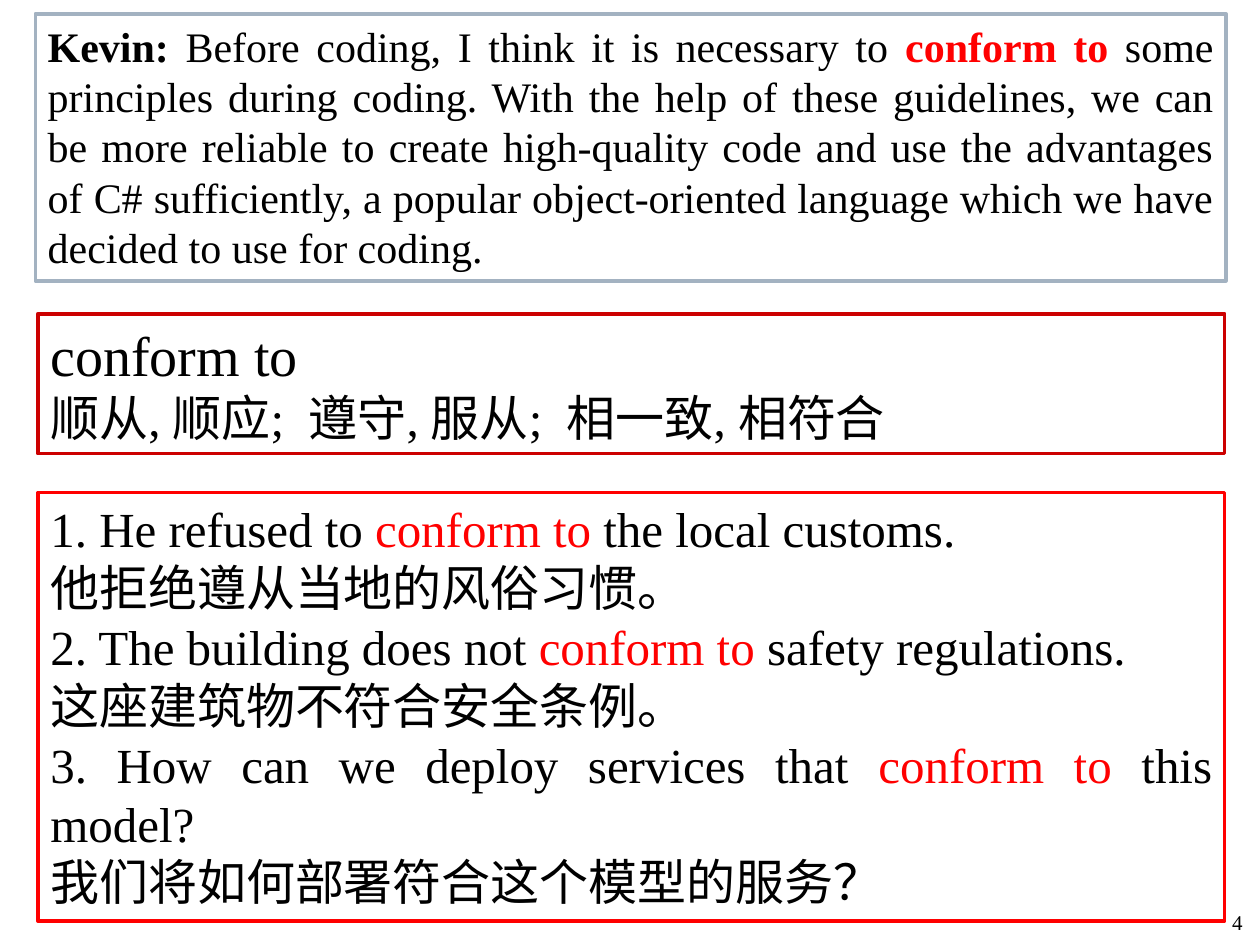
import pptx
import pptx.util
import pptx.dml.color
import pptx.enum.text
import pptx.oxml.ns
import lxml.etree

Inches = pptx.util.Inches
ALIGN = pptx.enum.text.PP_ALIGN
ANCHOR = pptx.enum.text.MSO_ANCHOR

THEME = {
    "font": "Times New Roman",
    "text": "000000",
    "accent": "FF0000",
    "paper": "FFFFFF",
    "quote_line": "A3B2C1",
    "word_line": "CC0000",
    "line_width": 2,
    "quote_size": 24,
    "word_size": 32,
    "meaning_size": 28,
    "example_size": 28,
    "number_size": 12,
}

PHRASE = "conform to"
QUOTE = [
    ("Kevin: ", "bold"),
    ("Before coding, I think it is necessary to ", ""),
    (PHRASE, "bold accent"),
    (" some principles during coding. With the help of these guidelines, we can "
     "be more reliable to create high-quality code and use the advantages of C# "
     "sufficiently, a popular object-oriented language which we have decided to "
     "use for coding.", ""),
]
MEANING = "顺从, 顺应;  遵守, 服从;  相一致, 相符合"
EXAMPLES = [
    ("1. He refused to ", "the local customs.", "他拒绝遵从当地的风俗习惯。"),
    ("2. The building does not ", "safety regulations.", "这座建筑物不符合安全条例。"),
    ("3. How can we deploy services that ", "this model? ", "我们将如何部署符合这个模型的服务？"),
]
PAGE_NUMBER = "4"


def rgb(name):
    return pptx.dml.color.RGBColor.from_string(THEME[name])


def write_text(box, paragraphs, sizes, align=ALIGN.LEFT, anchor=ANCHOR.MIDDLE):
    frame = box.text_frame
    frame.word_wrap = True
    frame.auto_size = pptx.enum.text.MSO_AUTO_SIZE.NONE
    frame.vertical_anchor = anchor
    for index, (spans, size) in enumerate(zip(paragraphs, sizes)):
        para = frame.add_paragraph() if index else frame.paragraphs[0]
        para.alignment = align
        para.space_before = pptx.util.Pt(0)
        properties = para._p.get_or_add_pPr()
        properties.set("marL", "0")
        properties.set("indent", "0")
        lxml.etree.SubElement(properties, pptx.oxml.ns.qn("a:buNone"))
        for text, style in spans:
            span = para.add_run()
            span.text = text
            span.font.name = THEME["font"]
            span.font.size = pptx.util.Pt(THEME[size])
            span.font.bold = "bold" in style
            span.font.color.rgb = rgb("accent" if "accent" in style else "text")


def frame_box(box, left, top, width, height, line):
    box.left, box.top = Inches(left), Inches(top)
    box.width, box.height = Inches(width), Inches(height)
    box.fill.solid()
    box.fill.fore_color.rgb = rgb("paper")
    box.line.color.rgb = rgb(line)
    box.line.width = pptx.util.Pt(THEME["line_width"])


def main():
    deck = pptx.Presentation()
    deck.slide_width, deck.slide_height = Inches(10), Inches(7.5)
    page = deck.slides.add_slide(deck.slide_layouts[1])

    number_box = page.shapes.add_textbox(
        Inches(9.37), Inches(6.9), Inches(0.59), Inches(0.57))
    write_text(number_box, [[(PAGE_NUMBER, "")]], ["number_size"],
               align=ALIGN.RIGHT, anchor=ANCHOR.BOTTOM)

    quote_box = page.shapes.add_textbox(0, 0, 0, 0)
    frame_box(quote_box, 0.28, 0.11, 9.45, 2.12, "quote_line")
    write_text(quote_box, [QUOTE], ["quote_size"],
               align=ALIGN.JUSTIFY, anchor=ANCHOR.TOP)

    word_box = page.shapes.title
    frame_box(word_box, 0.3, 2.49, 9.42, 1.11, "word_line")
    write_text(word_box, [[(PHRASE, "")], [(MEANING, "")]],
               ["word_size", "meaning_size"], anchor=ANCHOR.TOP)

    example_lines = []
    for before, after, translation in EXAMPLES:
        example_lines.append([(before, ""), (PHRASE + " ", "accent"), (after, "")])
        example_lines.append([(translation, "")])
    example_box = page.placeholders[1]
    frame_box(example_box, 0.3, 3.91, 9.42, 3.4, "accent")
    write_text(example_box, example_lines, ["example_size"] * len(example_lines),
               align=ALIGN.JUSTIFY, anchor=ANCHOR.TOP)

    deck.save("out.pptx")


if __name__ == "__main__":
    main()
